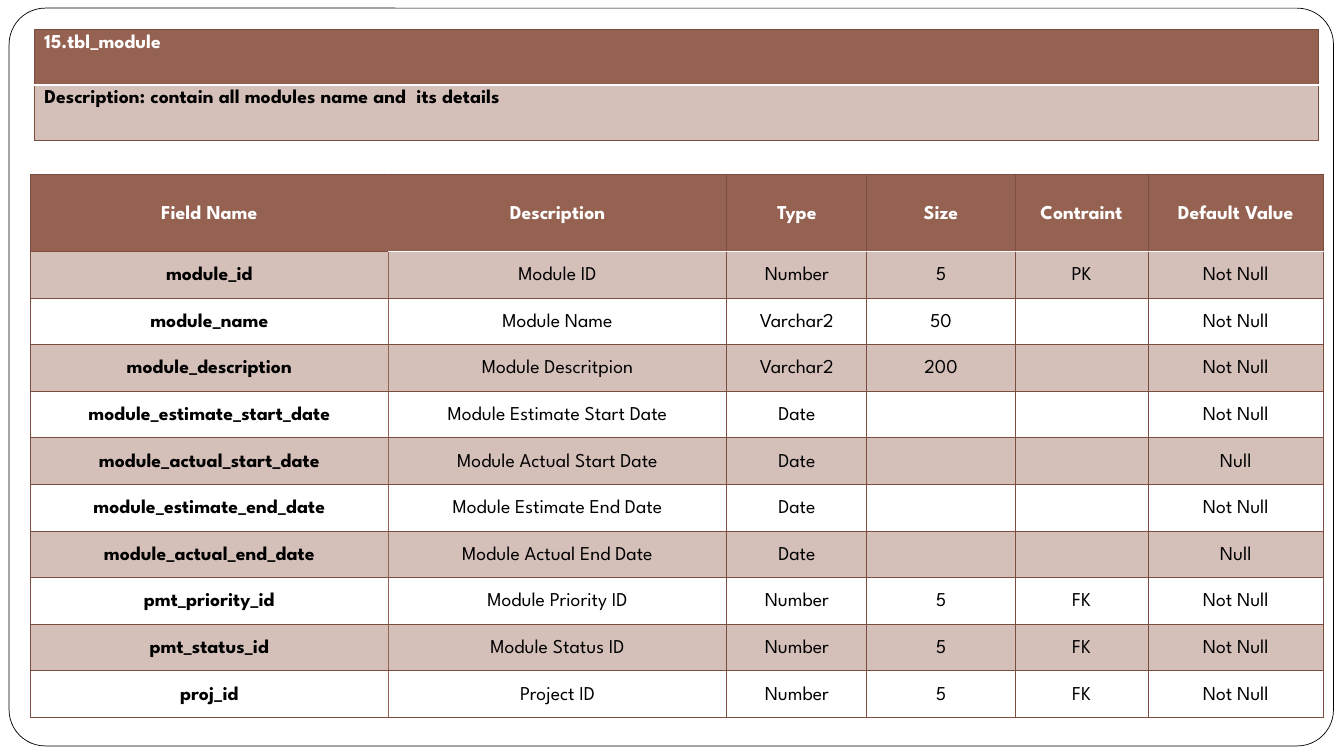
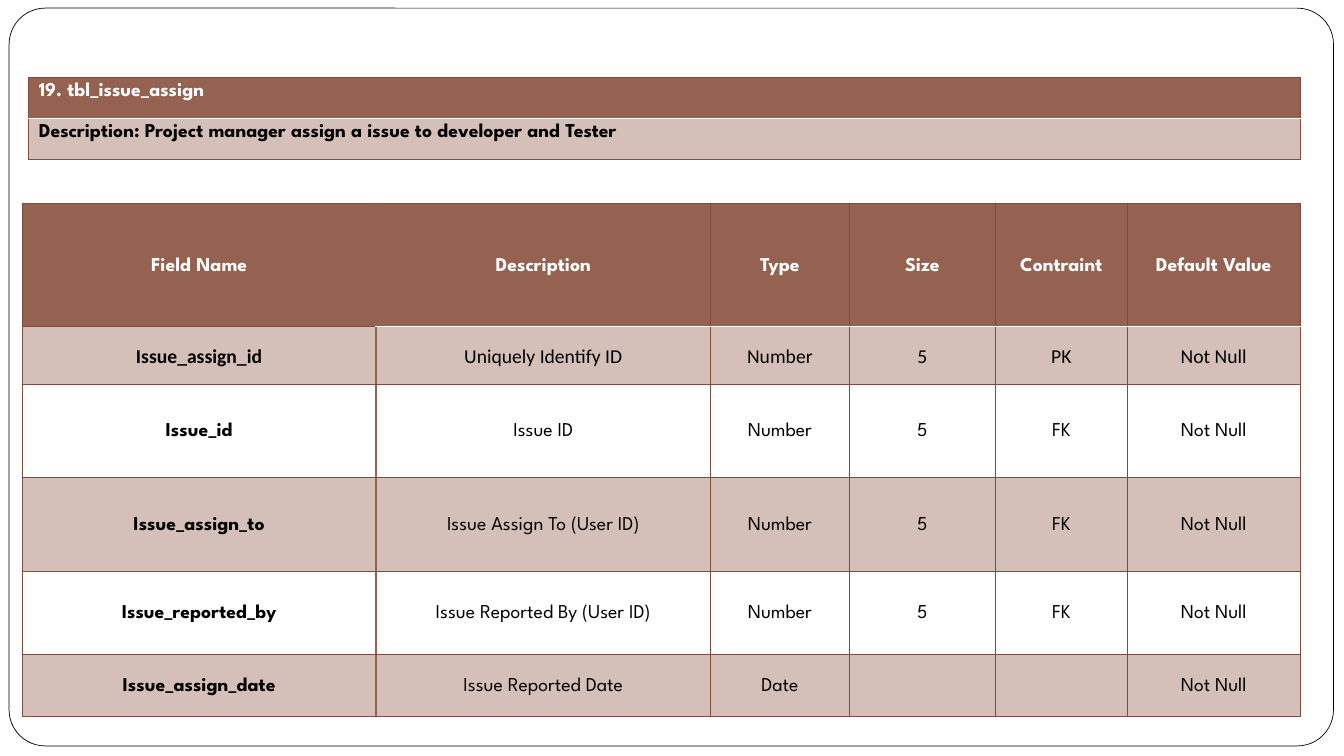
from dataclasses import dataclass

from lxml import etree
from pptx import Presentation
from pptx.dml.color import RGBColor
from pptx.enum.shapes import MSO_SHAPE
from pptx.enum.text import MSO_ANCHOR, PP_ALIGN
from pptx.oxml.ns import qn
from pptx.util import Pt

ROUNDED = MSO_SHAPE.ROUNDED_RECTANGLE
MIDDLE = MSO_ANCHOR.MIDDLE
CENTER = PP_ALIGN.CENTER


@dataclass(frozen=True)
class Theme:
    font: str = "League Spartan"
    alt_font: str = "Calibri"
    size: int = 14
    header: str = "956251"
    band: str = "D5C0B9"
    rule: str = "7A4D3E"
    white: str = "FFFFFF"
    black: str = "000000"


THEME = Theme()
THIN = (THEME.rule, 0.75)
KEY_EDGE = (THEME.header, 1)
HEADER_EDGE = (THEME.white, 1)

SLIDE_SIZE = (960, 540)
FRAME = (6.5, 5.8, 946, 527)
COLUMNS = ["Field Name", "Description", "Type", "Size", "Contraint", "Default Value"]
COLUMN_SHARES = [3.55, 3.36, 1.39, 1.47, 1.32, 1.74]

SLIDES = [
    {
        "caption": ["15.tbl_module", "Description: contain all modules name and  its details"],
        "caption_at": (24.5, 21, 917.5),
        "caption_row": 39.75,
        "fields_at": (21.8, 124.6, 923.6),
        "heights": [55] + [33.3] * 10,
        "alt_font_rows": [],
        "fields": [
            ("module_id", "Module ID", "Number", "5", "PK", "Not Null"),
            ("module_name", "Module Name", "Varchar2", "50", "", "Not Null"),
            ("module_description", "Module Descritpion", "Varchar2", "200", "", "Not Null"),
            ("module_estimate_start_date", "Module Estimate Start Date", "Date", "", "", "Not Null"),
            ("module_actual_start_date", "Module Actual Start Date", "Date", "", "", "Null"),
            ("module_estimate_end_date", "Module Estimate End Date", "Date", "", "", "Not Null"),
            ("module_actual_end_date", "Module Actual End Date", "Date", "", "", "Null"),
            ("pmt_priority_id", "Module Priority ID", "Number", "5", "FK", "Not Null"),
            ("pmt_status_id", "Module Status ID", "Number", "5", "FK", "Not Null"),
            ("proj_id", "Project ID", "Number", "5", "FK", "Not Null"),
        ],
    },
    {
        "caption": ["19. tbl_issue_assign",
                    "Description: Project manager assign a issue to developer and Tester"],
        "caption_at": (20.5, 55.4, 908.5),
        "caption_row": 29.2,
        "fields_at": (16, 145.4, 913),
        "heights": [87.8, 41.2, 66.8, 66.8, 59.6, 44.2],
        "alt_font_rows": [1],
        "fields": [
            ("Issue_assign_id", "Uniquely Identify ID", "Number", "5", "PK", "Not Null"),
            ("Issue_id", "Issue ID", "Number", "5", "FK", "Not Null"),
            ("Issue_assign_to", "Issue Assign To (User ID)", "Number", "5", "FK", "Not Null"),
            ("Issue_reported_by", "Issue Reported By (User ID)", "Number", "5", "FK", "Not Null"),
            ("Issue_assign_date", "Issue Reported Date", "Date", "", "", "Not Null"),
        ],
    },
]


def rgb(color):
    return RGBColor.from_string(color)


def add_frame(s, layout):
    """Draw the rounded page frame and move it to the shared layout."""
    frame = s.shapes.add_shape(ROUNDED, *map(Pt, FRAME))
    frame.adjustments[0] = 0.049
    frame.shadow.inherit = False
    frame.fill.solid()
    frame.fill.fore_color.rgb = rgb(THEME.white)
    frame.line.color.rgb = rgb(THEME.black)
    frame.line.width = Pt(0.5)
    layout.shapes.element.append(frame.element)


def cell_edges(row, col, n_cols):
    """Colour and width of each side; neighbours agree on a shared side."""
    has_key = n_cols > 1
    below_header = THIN if has_key and col == 0 else HEADER_EDGE
    return {
        "lnL": KEY_EDGE if col == 1 else THIN,
        "lnR": KEY_EDGE if has_key and col == 0 else THIN,
        "lnT": below_header if row == 1 else THIN,
        "lnB": below_header if row == 0 else THIN,
    }


def set_edges(cell, edges):
    tc_pr = cell._tc.get_or_add_tcPr()
    for side, (color, width) in edges.items():
        ln = etree.SubElement(tc_pr, qn(f"a:{side}"), w=str(Pt(width)))
        fill = etree.SubElement(ln, qn("a:solidFill"))
        etree.SubElement(fill, qn("a:srgbClr"), val=color)


def set_fill(cell, row):
    if row and row % 2 == 0:
        cell.fill.background()
    else:
        cell.fill.solid()
        cell.fill.fore_color.rgb = rgb(THEME.band if row else THEME.header)


def add_grid(s, at, widths, heights, rows, alt_font_rows=()):
    left, top, width = at
    n_cols = len(widths)
    table = s.shapes.add_table(len(rows), n_cols, Pt(left), Pt(top),
                               Pt(width), Pt(sum(heights))).table
    table.first_row = table.horz_banding = False
    for column, w in zip(table.columns, widths):
        column.width = Pt(w)
    for r, (values, height) in enumerate(zip(rows, heights)):
        table.rows[r].height = Pt(height)
        for c, text in enumerate(values):
            cell = table.cell(r, c)
            set_edges(cell, cell_edges(r, c, n_cols))
            set_fill(cell, r)
            cell.text = text
            p = cell.text_frame.paragraphs[0]
            p.font.name = THEME.alt_font if r in alt_font_rows else THEME.font
            p.font.size = Pt(THEME.size)
            p.font.bold = r == 0 or c == 0
            p.font.color.rgb = rgb(THEME.black if r else THEME.white)
    return table


def center_cells(table):
    for cell in table.iter_cells():
        cell.vertical_anchor = MIDDLE
        cell.margin_left = cell.margin_right = Pt(5)
        cell.margin_top = cell.margin_bottom = 0
        p = cell.text_frame.paragraphs[0]
        p.alignment = CENTER
        p.line_spacing = 1.15


def add_field_slide(s, data):
    width = data["fields_at"][2]
    widths = [width * share / sum(COLUMN_SHARES) for share in COLUMN_SHARES]
    fields = add_grid(s, data["fields_at"], widths, data["heights"],
                      [COLUMNS] + data["fields"], data["alt_font_rows"])
    center_cells(fields)
    add_grid(s, data["caption_at"], [data["caption_at"][2]],
             [data["caption_row"]] * 2, [[line] for line in data["caption"]])


def main():
    prs = Presentation()
    prs.slide_width, prs.slide_height = map(Pt, SLIDE_SIZE)
    layout = prs.slide_layouts[6]
    slides = [prs.slides.add_slide(layout) for _ in SLIDES]
    add_frame(slides[0], layout)
    for s, data in zip(slides, SLIDES):
        add_field_slide(s, data)
    prs.save("out.pptx")


if __name__ == "__main__":
    main()
